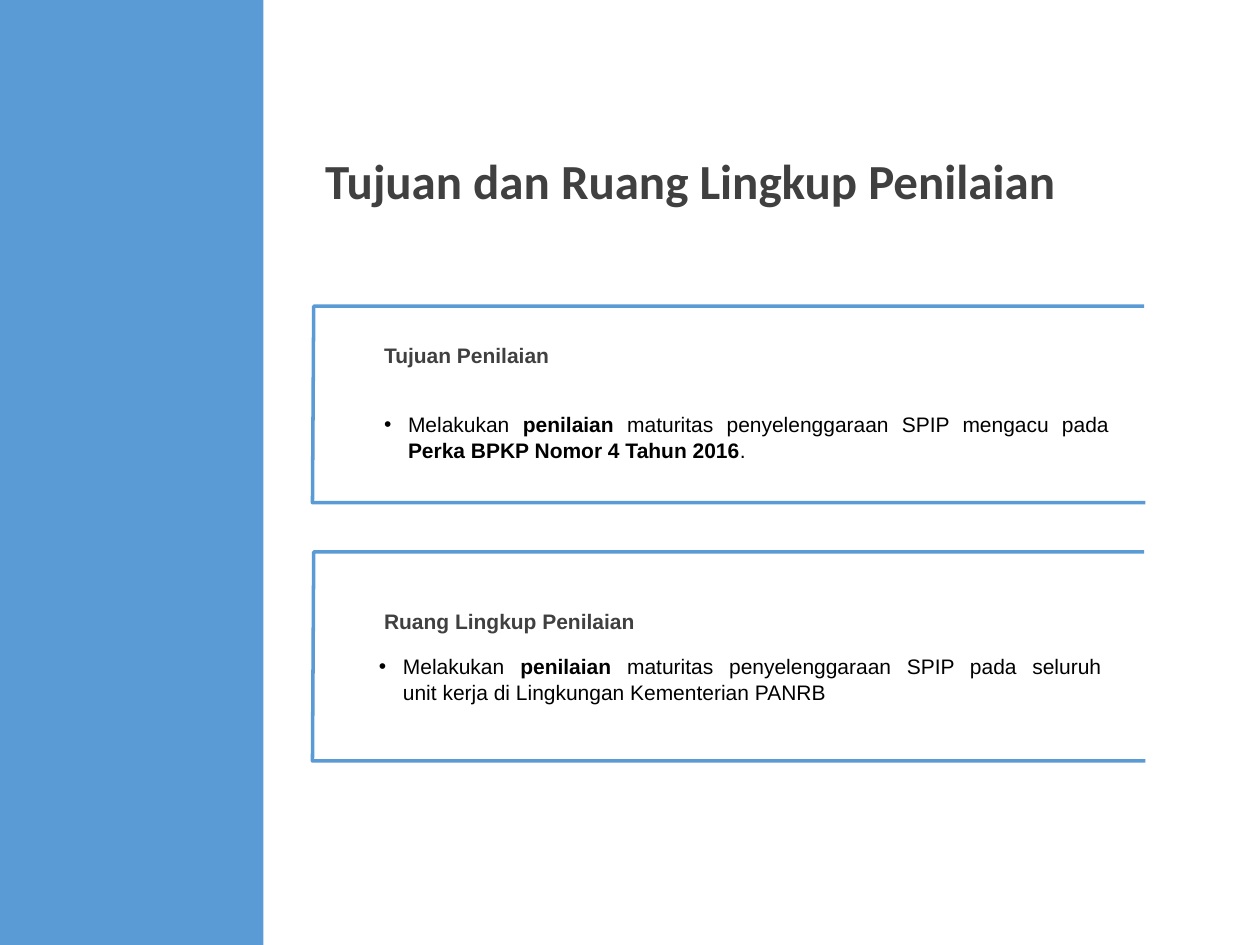
from pptx import Presentation
from pptx.dml.color import RGBColor
from pptx.enum.shapes import MSO_SHAPE
from pptx.enum.text import MSO_ANCHOR, MSO_AUTO_SIZE, PP_ALIGN
from pptx.oxml.ns import qn
from pptx.util import Inches, Pt
from lxml import etree

RECTANGLE = MSO_SHAPE.RECTANGLE
MIDDLE = MSO_ANCHOR.MIDDLE
NO_FIT = MSO_AUTO_SIZE.NONE
LEFT, JUSTIFY = PP_ALIGN.LEFT, PP_ALIGN.JUSTIFY
TITLE_ONLY = 5
COLORS = {"blue": "5B9BD5", "heading": "404040", "body": "000000"}
FRAME_LEFT, FRAME_RIGHT = 2.48, 9.09
TEXT_LEFT, TEXT_WIDTH = 2.95, 6.06


def color(name):
    return RGBColor.from_string(COLORS[name])


def write(para, text, *, size=12, font="Arial", tint="body", bold=False):
    for index, line in enumerate(text.split("\n")):
        if index:
            para.add_line_break()
        if line:
            span = para.add_run()
            span.text = line
            span.font.size = Pt(size)
            span.font.name = font
            span.font.bold = bold
            span.font.color.rgb = color(tint)


def add_bullet(para, indent):
    properties = para._p.get_or_add_pPr()
    properties.set("marL", str(Inches(indent)))
    properties.set("indent", str(-Inches(indent)))
    etree.SubElement(properties, qn("a:buFont")).set("typeface", "Arial")
    etree.SubElement(properties, qn("a:buChar")).set("char", "•")


class SlideBuilder:
    def __init__(self, page):
        self.page = page

    def title(self, text, left, top, width, height):
        box = self.page.shapes.title
        box.left, box.top = Inches(left), Inches(top)
        box.width, box.height = Inches(width), Inches(height)
        frame = box.text_frame
        frame.word_wrap = True
        frame.auto_size = NO_FIT
        frame.vertical_anchor = MIDDLE
        para = frame.paragraphs[0]
        para.alignment = LEFT
        para.line_spacing = 0.9
        para.space_before = Pt(7.5)
        write(para, text, size=28, font="Calibri", tint="heading", bold=True)

    def panel(self, left, top, width, height):
        panel = self.page.shapes.add_shape(
            RECTANGLE, Inches(left), Inches(top), Inches(width), Inches(height))
        panel.shadow.inherit = False
        panel.fill.solid()
        panel.fill.fore_color.rgb = color("blue")
        panel.line.fill.background()

    def open_frame(self, top, bottom):
        right = FRAME_RIGHT - 0.01
        builder = self.page.shapes.build_freeform(Inches(right), Inches(top))
        corners = [(FRAME_LEFT + 0.01, top), (FRAME_LEFT, bottom), (FRAME_RIGHT, bottom)]
        builder.add_line_segments(
            [(Inches(x), Inches(y)) for x, y in corners], close=False)
        outline = builder.convert_to_shape()
        outline.shadow.inherit = False
        outline.fill.background()
        outline.line.color.rgb = color("blue")
        outline.line.width = Pt(2)

    def text_box(self, left, top, height):
        box = self.page.shapes.add_textbox(
            Inches(left), Inches(top), Inches(TEXT_WIDTH), Inches(height))
        box.text_frame.word_wrap = True
        box.text_frame.vertical_anchor = MIDDLE
        return box.text_frame.paragraphs[0]

    def heading(self, text, top):
        write(self.text_box(TEXT_LEFT, top, 0.3), text, tint="heading", bold=True)

    def bullet(self, spans, left, top):
        para = self.text_box(left, top, 0.5)
        para.alignment = JUSTIFY
        add_bullet(para, 0.19)
        for text, bold in spans:
            write(para, text, bold=bold)


deck = Presentation()
deck.slide_width, deck.slide_height = Inches(10), Inches(7.5)
slide = SlideBuilder(deck.slides.add_slide(deck.slide_layouts[TITLE_ONLY]))

slide.panel(0, 0, 2.09, 7.5)
slide.title("Tujuan dan Ruang Lingkup Penilaian", FRAME_LEFT, 1.14, 6.61, 0.63)

sections = [
    {"frame": (2.43, 3.99), "heading": ("Tujuan Penilaian", 2.67),
     "bullet_at": (TEXT_LEFT, 3.22),
     "spans": [("Melakukan ", False), ("penilaian", True),
               (" maturitas penyelenggaraan SPIP mengacu pada \n", False),
               ("Perka BPKP Nomor 4 Tahun 2016", True), (".", False)]},
    {"frame": (4.38, 6.04), "heading": ("Ruang Lingkup Penilaian", 4.78),
     "bullet_at": (2.91, 5.14),
     "spans": [("Melakukan ", False), ("penilaian", True),
               (" maturitas penyelenggaraan SPIP pada seluruh \n"
                "unit kerja di Lingkungan Kementerian PANRB", False)]},
]
for section in sections:
    slide.open_frame(*section["frame"])
    slide.heading(*section["heading"])
    slide.bullet(section["spans"], *section["bullet_at"])

deck.save("out.pptx")
